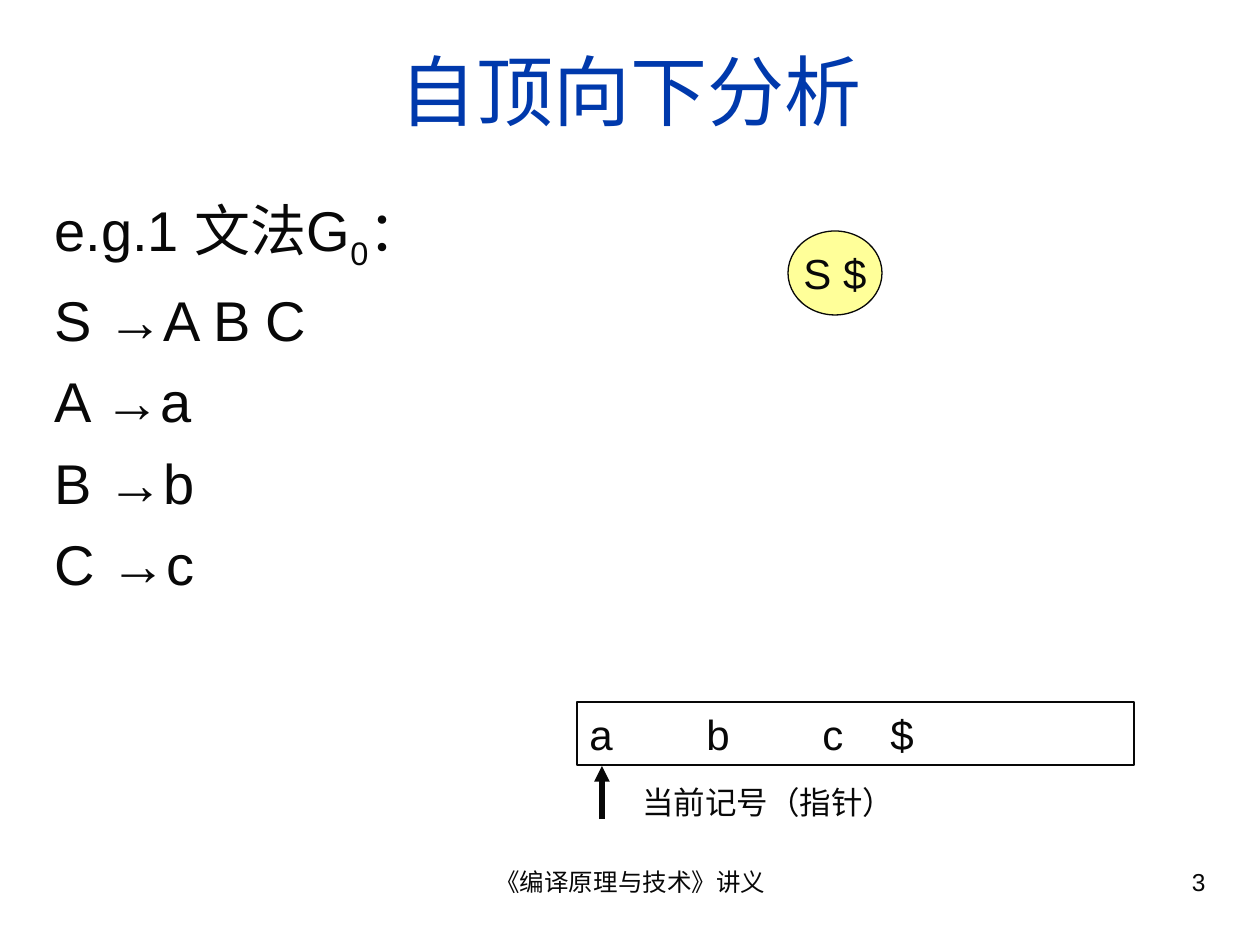
from dataclasses import dataclass

from pptx import Presentation
from pptx.dml.color import RGBColor
from pptx.enum.shapes import MSO_CONNECTOR as Connector, MSO_SHAPE as Preset
from pptx.enum.text import MSO_ANCHOR as Anchor, PP_ALIGN as Align
from pptx.oxml.ns import qn
from pptx.util import Emu, Pt
from lxml.etree import SubElement

PX_PER_INCH = 126


@dataclass(frozen=True)
class Theme:
    font: str = "Arial"
    ink: str = "080808"
    heading: str = "0039AC"
    node_fill: str = "FFFF99"
    title_size: int = 44
    body_size: int = 32
    symbol_size: int = 24
    label_size: int = 18
    footer_size: int = 14
    outline: float = 0.75
    pointer: int = 3


THEME = Theme()


def px(length):
    return Emu(round(length * 914400 / PX_PER_INCH))


def rgb(value):
    return RGBColor.from_string(value)


def write(shape, *lines, size, color=THEME.ink, align=Align.LEFT,
          anchor=Anchor.TOP, wrap=True, before=0, hanging=0, tabs=()):
    """Fill a shape with lines; a line is a string or (text, is_subscript) pairs."""
    frame = shape.text_frame
    frame.word_wrap = wrap
    frame.vertical_anchor = anchor
    for index, line in enumerate(lines):
        paragraph = frame.add_paragraph() if index else frame.paragraphs[0]
        paragraph.alignment = align
        if index and before:
            paragraph.space_before = Pt(before)
        properties = paragraph._p.get_or_add_pPr()
        if hanging:
            properties.set("marL", str(px(hanging)))
            properties.set("indent", str(-px(hanging)))
        if tabs:
            stops = SubElement(properties, qn("a:tabLst"))
            for stop in tabs:
                SubElement(stops, qn("a:tab"), pos=str(px(stop)), algn="l")
        for text, is_subscript in [(line, False)] if isinstance(line, str) else line:
            run = paragraph.add_run()
            run.text = text
            run.font.name = THEME.font
            run.font.size = Pt(size)
            run.font.color.rgb = rgb(color)
            if is_subscript:
                run.font._element.set("baseline", "-25000")


def add_text(slide, box, *lines, **text_format):
    write(slide.shapes.add_textbox(*map(px, box)), *lines, **text_format)


def add_outlined(slide, preset, box, text, fill=None, **text_format):
    shape = slide.shapes.add_shape(preset, *map(px, box))
    shape.shadow.inherit = False
    if fill:
        shape.fill.solid()
        shape.fill.fore_color.rgb = rgb(fill)
    else:
        shape.fill.background()
    shape.line.color.rgb = rgb(THEME.ink)
    shape.line.width = Pt(THEME.outline)
    write(shape, text, size=THEME.symbol_size, **text_format)


def add_pointer(slide, start, end):
    pointer = slide.shapes.add_connector(
        Connector.STRAIGHT, *map(px, start), *map(px, end))
    pointer.line.color.rgb = rgb(THEME.ink)
    pointer.line.width = Pt(THEME.pointer)
    SubElement(pointer.line._get_or_add_ln(), qn("a:tailEnd"), type="triangle")
    SubElement(pointer._element.spPr, qn("a:effectLst"))


def main():
    deck = Presentation()
    deck.slide_width, deck.slide_height = px(1260), px(945)
    slide = deck.slides.add_slide(deck.slide_layouts[6])

    add_text(slide, (42, 32, 1177, 116), "自顶向下分析", size=THEME.title_size,
             color=THEME.heading, align=Align.CENTER, anchor=Anchor.MIDDLE)

    grammar_name = [("e.g.1 文法G", False), ("0", True), ("：", False)]
    add_text(slide, (42, 189, 473, 410), grammar_name,
             "S →A B C", "A →a", "B →b", "C →c",
             size=THEME.body_size, before=8, hanging=48)

    add_outlined(slide, Preset.OVAL, (788, 231, 94, 84), "S $",
                 fill=THEME.node_fill, align=Align.CENTER,
                 anchor=Anchor.MIDDLE, wrap=False)

    add_outlined(slide, Preset.RECTANGLE, (577, 702, 557, 63), "a\tb\tc\t$",
                 tabs=(117, 233, 301))
    add_pointer(slide, (602, 819), (602, 766))
    add_text(slide, (630, 777, 378, 50), "当前记号（指针）", size=THEME.label_size)

    add_text(slide, (431, 861, 399, 66), "《编译原理与技术》讲义",
             size=THEME.footer_size, align=Align.CENTER)
    add_text(slide, (903, 861, 315, 66), "3",
             size=THEME.footer_size, align=Align.RIGHT)

    deck.save("out.pptx")


if __name__ == "__main__":
    main()
